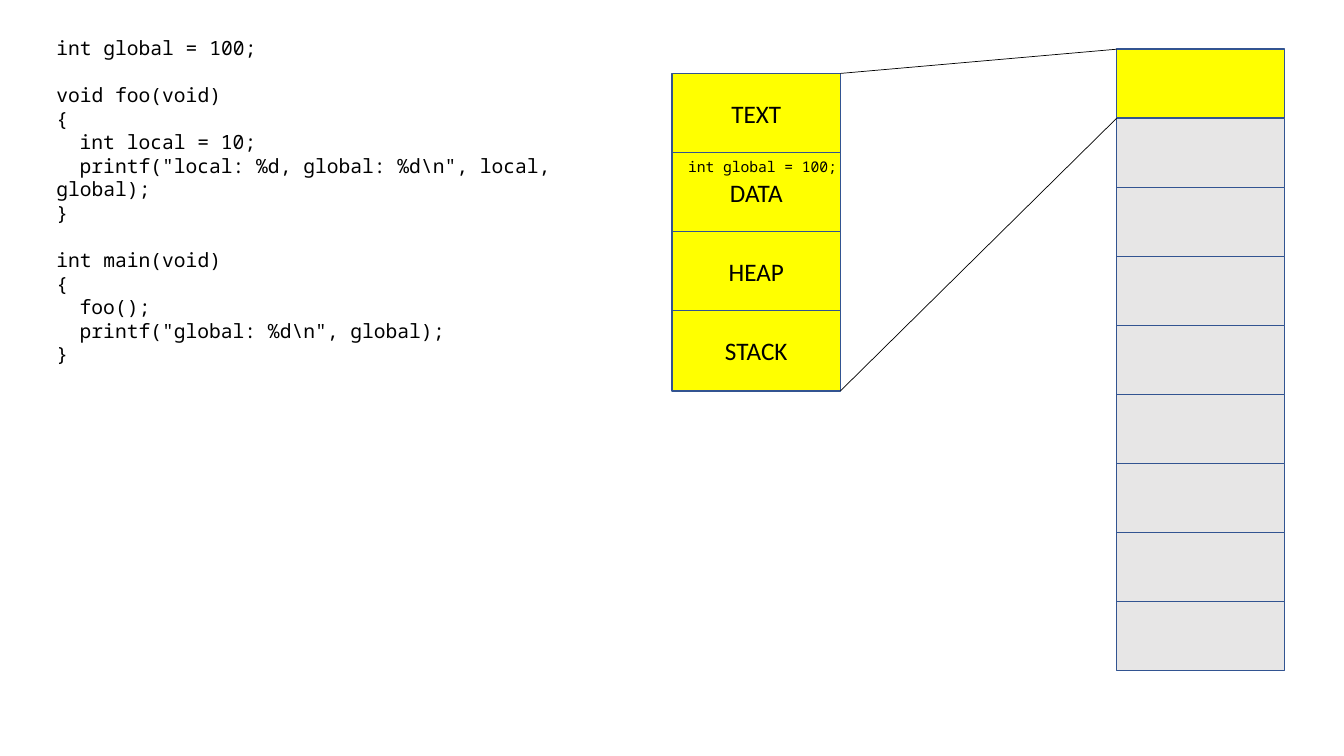
from lxml import etree
from pptx import Presentation
from pptx.dml.color import RGBColor
from pptx.enum.shapes import MSO_CONNECTOR, MSO_SHAPE
from pptx.enum.text import MSO_ANCHOR, PP_ALIGN
from pptx.oxml.ns import qn
from pptx.util import Cm, Pt

RECTANGLE = MSO_SHAPE.RECTANGLE
STRAIGHT = MSO_CONNECTOR.STRAIGHT
MIDDLE = MSO_ANCHOR.MIDDLE
CENTER = PP_ALIGN.CENTER

BLACK, YELLOW, GREY, BLUE = "000000", "FFFF00", "E7E6E6", "325491"
MONO, SANS = "Noto Sans Mono", "Calibri"

BLOCK_WIDTH = 4.24
SEGMENT_LEFT, SEGMENT_TOP, SEGMENT_HEIGHT, SEGMENT_STEP = 16.94, 1.85, 2.03, 1.99
FRAME_LEFT, FRAME_TOP, FRAME_HEIGHT, FRAME_COUNT = 28.14, 1.24, 1.74, 9
SEGMENTS = ["TEXT", "DATA", "HEAP", "STACK"]

GLOBAL_LINE = "int global = 100;"
CODE_BLOCKS = [
    [(0, GLOBAL_LINE)],
    [
        (0, "void foo(void)"),
        (0, "{"),
        (1, "int local = 10;"),
        (1, 'printf("local: %d, global: %d\\n", local, global);'),
        (0, "}"),
    ],
    [
        (0, "int main(void)"),
        (0, "{"),
        (1, "foo();"),
        (1, 'printf("global: %d\\n", global);'),
        (0, "}"),
    ],
]
CODE_INDENT = Cm(0.59)
CODE_GAP = Pt(17)


def color(hex_code):
    return RGBColor.from_string(hex_code)


def add_run(paragraph, text, font, size):
    run = paragraph.add_run()
    run.text = text
    run.font.name = font
    run.font.size = Pt(size)
    run.font.color.rgb = color(BLACK)


def add_text_frame(slide, left, top, width, height):
    box = slide.shapes.add_textbox(Cm(left), Cm(top), Cm(width), Cm(height))
    box.text_frame.word_wrap = True
    return box.text_frame


def add_block(slide, left, top, height, fill, label=None):
    block = slide.shapes.add_shape(
        RECTANGLE, Cm(left), Cm(top), Cm(BLOCK_WIDTH), Cm(height))
    block.shadow.inherit = False
    block.fill.solid()
    block.fill.fore_color.rgb = color(fill)
    block.line.color.rgb = color(BLUE)
    block.line.width = Pt(1)
    if label:
        block.text_frame.vertical_anchor = MIDDLE
        paragraph = block.text_frame.paragraphs[0]
        paragraph.alignment = CENTER
        add_run(paragraph, label, SANS, 18)


def add_mapping_line(slide, segment_y, frame_y):
    line = slide.shapes.add_connector(
        STRAIGHT, Cm(SEGMENT_LEFT + BLOCK_WIDTH), Cm(segment_y),
        Cm(FRAME_LEFT), Cm(frame_y))
    line.line.color.rgb = color(BLACK)
    line.line.width = Pt(0.5)
    etree.SubElement(line._element.spPr, qn("a:effectLst"))


def add_code(slide):
    frame = add_text_frame(slide, 1.17, 0.18, 15.19, 9.25)
    frame.margin_top = Cm(0.72)
    paragraph = frame.paragraphs[0]
    for block_number, block in enumerate(CODE_BLOCKS):
        for line_number, (level, text) in enumerate(block):
            if block_number or line_number:
                paragraph = frame.add_paragraph()
            if block_number and not line_number:
                paragraph.space_before = CODE_GAP
            if level:
                properties = paragraph._p.get_or_add_pPr()
                properties.set("marL", "0")
                properties.set("indent", str(level * CODE_INDENT))
            add_run(paragraph, text, MONO, 14)


def add_memory(slide):
    for number in range(FRAME_COUNT):
        add_block(slide, FRAME_LEFT, FRAME_TOP + number * FRAME_HEIGHT,
                  FRAME_HEIGHT, GREY if number else YELLOW)


def add_process(slide):
    for number, label in enumerate(SEGMENTS):
        add_block(slide, SEGMENT_LEFT, SEGMENT_TOP + number * SEGMENT_STEP,
                  SEGMENT_HEIGHT, YELLOW, label)
    variable = add_text_frame(slide, 17.09, 3.86, 6.96, 0.74)
    add_run(variable.paragraphs[0], GLOBAL_LINE, MONO, 10.5)


def main():
    presentation = Presentation()
    presentation.slide_width = Cm(33.87)
    presentation.slide_height = Cm(19.05)
    slide = presentation.slides.add_slide(presentation.slide_layouts[6])
    add_code(slide)
    add_memory(slide)
    add_process(slide)
    process_bottom = SEGMENT_TOP + (len(SEGMENTS) - 1) * SEGMENT_STEP + SEGMENT_HEIGHT
    add_mapping_line(slide, SEGMENT_TOP, FRAME_TOP)
    add_mapping_line(slide, process_bottom, FRAME_TOP + FRAME_HEIGHT)
    presentation.save("out.pptx")


main()
